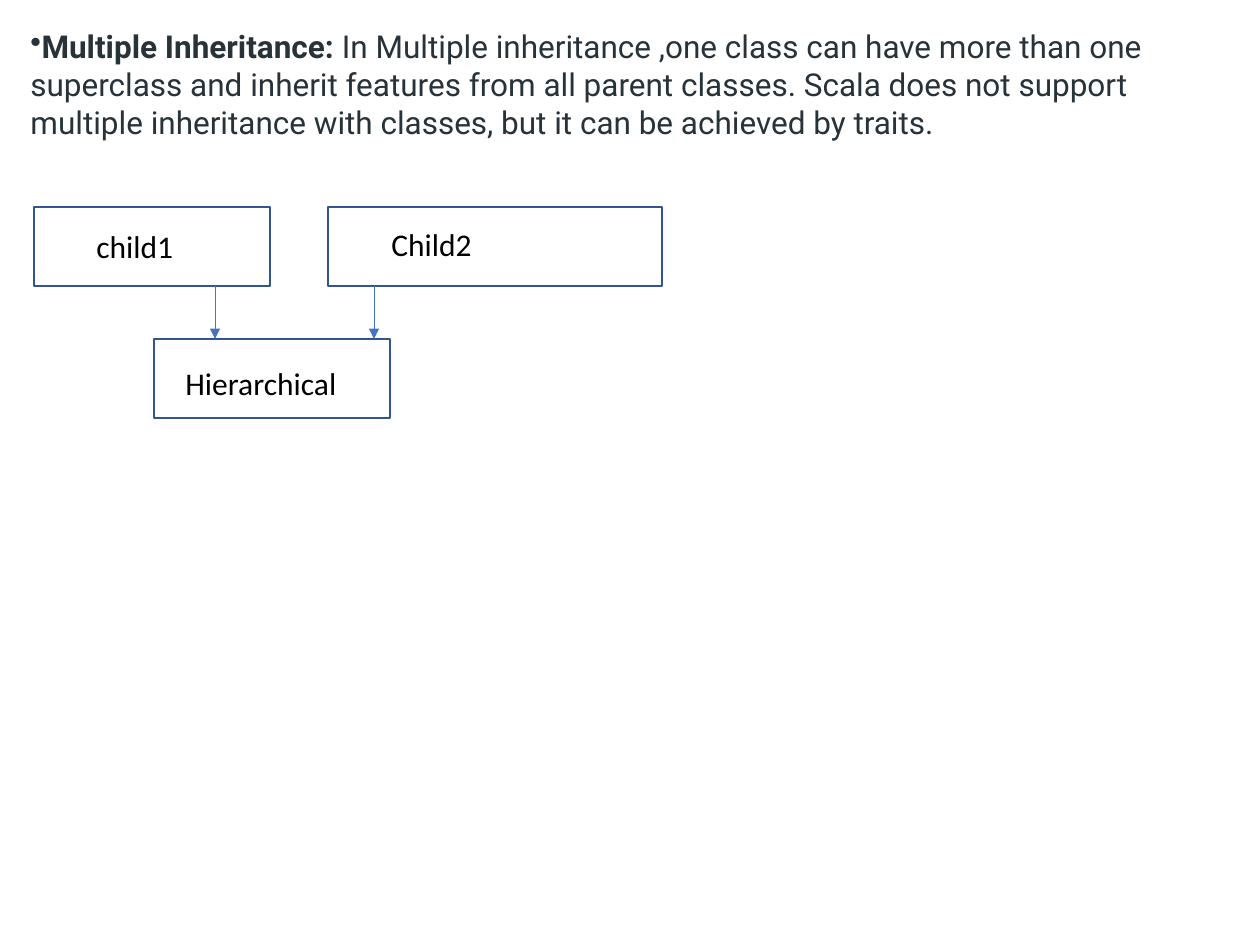
import pptx
import pptx.dml.color
import pptx.enum.shapes
import pptx.oxml
import pptx.oxml.ns
import pptx.util

PX = 914400 / 126
COLORS = {"heading": "273239", "label": "000000", "border": "325491", "arrow": "4472C4"}


def px(*lengths):
    return [pptx.util.Emu(round(length * PX)) for length in lengths]


def style_run(run, font_name, color, bold=False):
    run.font.name = font_name
    run.font.size = pptx.util.Pt(18)
    run.font.bold = bold
    run.font.color.rgb = pptx.dml.color.RGBColor.from_string(COLORS[color])


presentation = pptx.Presentation()
presentation.slide_width, presentation.slide_height = px(1260, 945)
slide = presentation.slides.add_slide(presentation.slide_layouts[6])

# Definition
definition = slide.shapes.add_textbox(*px(18, 21, 1188, 165)).text_frame
definition.word_wrap = True
definition.text = "Multiple Inheritance:\u00a0".replace("\u00a0", " ")
paragraph = definition.paragraphs[0]
style_run(paragraph.runs[0], "Roboto", "heading", bold=True)
explanation = paragraph.add_run()
explanation.text = (
    "In Multiple inheritance ,one class can have more than one superclass and "
    "inherit features from all parent classes. Scala does not support multiple "
    "inheritance with classes, but it can be achieved by traits."
)
style_run(explanation, "Roboto", "heading")
bullet = pptx.oxml.parse_xml(f'<a:buChar {pptx.oxml.ns.nsdecls("a")} char="•"/>')
paragraph._p.get_or_add_pPr().append(bullet)

# Class boxes: label, box left, top, width, then label left, top
classes = [
    ("Hierarchical", 154, 339, 236, 173, 358),
    ("child1", 34, 207, 236, 84, 221),
    ("Child2", 328, 207, 334, 379, 219),
]
for name, left, top, width, label_left, label_top in classes:
    box = slide.shapes.add_shape(
        pptx.enum.shapes.MSO_SHAPE.RECTANGLE, *px(left, top, width, 79)
    )
    box.shadow.inherit = False
    box.fill.background()
    box.line.width = pptx.util.Pt(1)
    box.line.color.rgb = pptx.dml.color.RGBColor.from_string(COLORS["border"])

    label = slide.shapes.add_textbox(*px(label_left, label_top, 197, 50)).text_frame
    label.word_wrap = True
    label.text = name
    style_run(label.paragraphs[0].runs[0], "Calibri", "label")

# Arrows from the upper boxes to the lower one
for x in (215, 374):
    arrow = slide.shapes.add_connector(
        pptx.enum.shapes.MSO_CONNECTOR.STRAIGHT, *px(x, 286, x, 339)
    )
    arrow.line.width = pptx.util.Pt(0.5)
    arrow.line.color.rgb = pptx.dml.color.RGBColor.from_string(COLORS["arrow"])
    for parent, tag in (
        (arrow.line._get_or_add_ln(), 'tailEnd type="triangle"'),
        (arrow._element.spPr, "effectLst"),
    ):
        name, _, attributes = tag.partition(" ")
        parent.append(
            pptx.oxml.parse_xml(f'<a:{name} {pptx.oxml.ns.nsdecls("a")} {attributes}/>')
        )

presentation.save("out.pptx")
